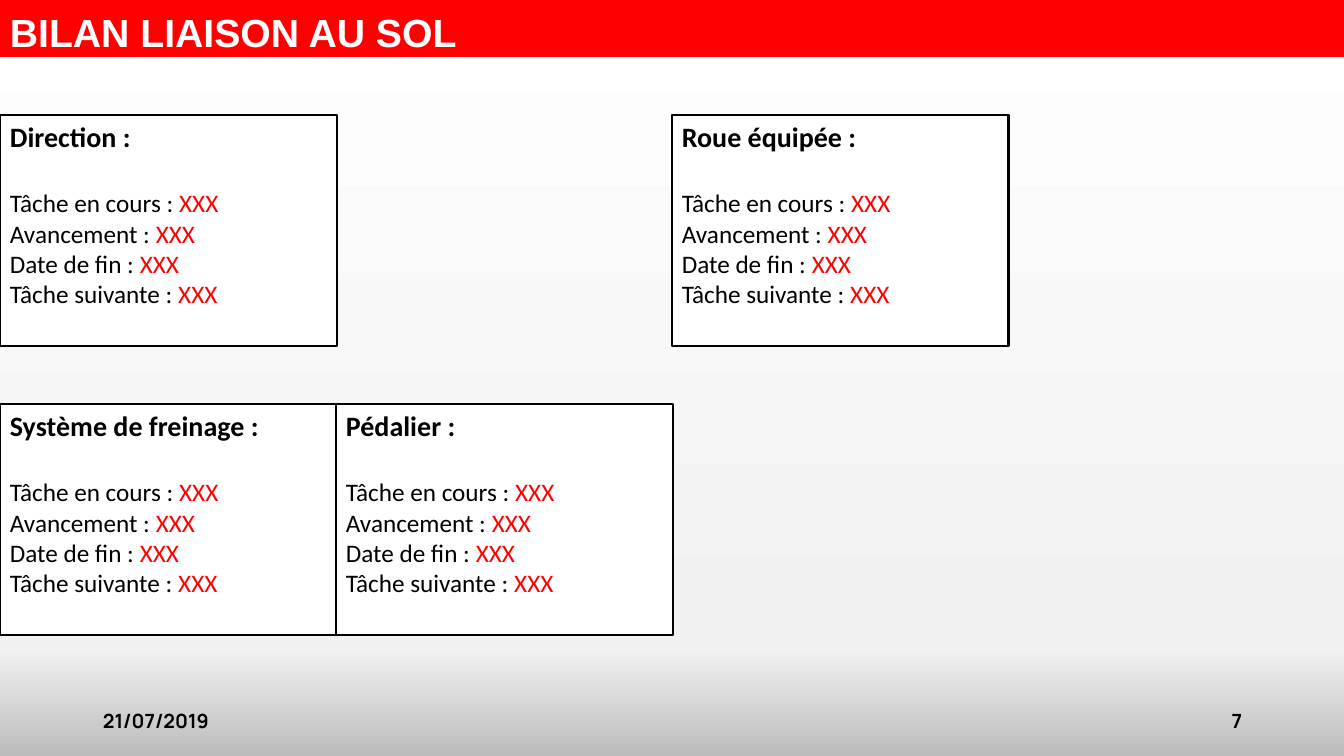
from copy import deepcopy
from itertools import product

from pptx import Presentation
from pptx.dml.color import RGBColor
from pptx.enum.shapes import MSO_SHAPE
from pptx.enum.text import MSO_ANCHOR, PP_ALIGN
from pptx.oxml.ns import qn
from pptx.util import Emu, Pt

WIDE, HIGH = 1344, 756
BLACK, WHITE, RED = "000000", "FFFFFF", "FF0000"
HEAD = {"name": "Calibri", "size": Pt(20), "bold": True}
BODY = {"name": "Calibri", "size": Pt(18), "bold": False}
FOOT = {"name": "Manrope", "size": Pt(14), "bold": True}
TITLE = {"name": "Arial", "size": Pt(28), "bold": True}
TASKS = ["Tâche en cours : ", "Avancement : ", "Date de fin : ", "Tâche suivante : "]
CARDS = {
    (0, 0): "Direction :",
    (0, 2): "Roue équipée :",
    (1, 0): "Système de freinage :",
    (1, 1): "Pédalier :",
}


def px(num):
    return Emu(round(num * 914400 / 100.8))


def color(code):
    return RGBColor.from_string(code)


class Deck:
    """Draws the elements of one slide in a shared style."""

    def __init__(self):
        self.file = Presentation()
        self.file.slide_width, self.file.slide_height = px(WIDE), px(HIGH)
        self.slide = self.file.slides.add_slide(self.file.slide_layouts[6])

    def back(self, stops, angle):
        fill = self.slide.background.fill
        fill.gradient()
        fill.gradient_angle = angle
        first = next(self.slide.element.iter(qn("a:gs")))
        for _ in stops[2:]:
            first.addnext(deepcopy(first))
        for stop, (place, code) in zip(fill.gradient_stops, stops):
            stop.position = place
            stop.color.rgb = color(code)

    def run(self, para, text, style, code=BLACK):
        run = para.add_run()
        run.text = text
        for key, value in style.items():
            setattr(run.font, key, value)
        run.font.color.rgb = color(code)

    def rect(self, box, fill, line=None):
        shape = self.slide.shapes.add_shape(MSO_SHAPE.RECTANGLE, *map(px, box))
        shape.shadow.inherit = False
        shape.fill.solid()
        shape.fill.fore_color.rgb = color(fill)
        if line:
            shape.line.color.rgb = color(line)
            shape.line.width = Pt(2)
        else:
            shape.line.fill.background()
        frame = shape.text_frame
        frame.word_wrap = True
        frame.vertical_anchor = MSO_ANCHOR.TOP
        frame.paragraphs[0].alignment = PP_ALIGN.LEFT
        return frame

    def card(self, box, name):
        frame = self.rect(box, WHITE, BLACK)
        head = frame.paragraphs[0]
        head.space_after = Pt(24.4)
        self.run(head, name, HEAD)
        for task in TASKS:
            para = frame.add_paragraph()
            para.alignment = PP_ALIGN.LEFT
            self.run(para, task, BODY)
            self.run(para, "XXX", BODY, RED)

    def note(self, box, text, align):
        frame = self.slide.shapes.add_textbox(*map(px, box)).text_frame
        frame.word_wrap = True
        frame.vertical_anchor = MSO_ANCHOR.MIDDLE
        frame.paragraphs[0].alignment = align
        self.run(frame.paragraphs[0], text, FOOT)

    def title(self, box, text):
        frame = self.rect(box, RED)
        frame.margin_top, frame.margin_bottom = px(8), 0
        self.run(frame.paragraphs[0], text, TITLE, WHITE)


def main():
    deck = Deck()
    deck.back([(0, "FFFFFF"), (0.86, "F1F1F1"), (1, "BDBCBD")], 270)
    for row, col in product(range(2), range(3)):
        if (row, col) in CARDS:
            box = (col * WIDE // 4, 115 + row * 289, 337, 231)
            deck.card(box, CARDS[row, col])
    deck.note((950, 701, 302, 40), "7", PP_ALIGN.RIGHT)
    deck.note((93, 701, 302, 40), "21/07/2019", PP_ALIGN.LEFT)
    deck.title((0, 0, WIDE, 57), "BILAN LIAISON AU SOL")
    deck.file.save("out.pptx")


if __name__ == "__main__":
    main()
